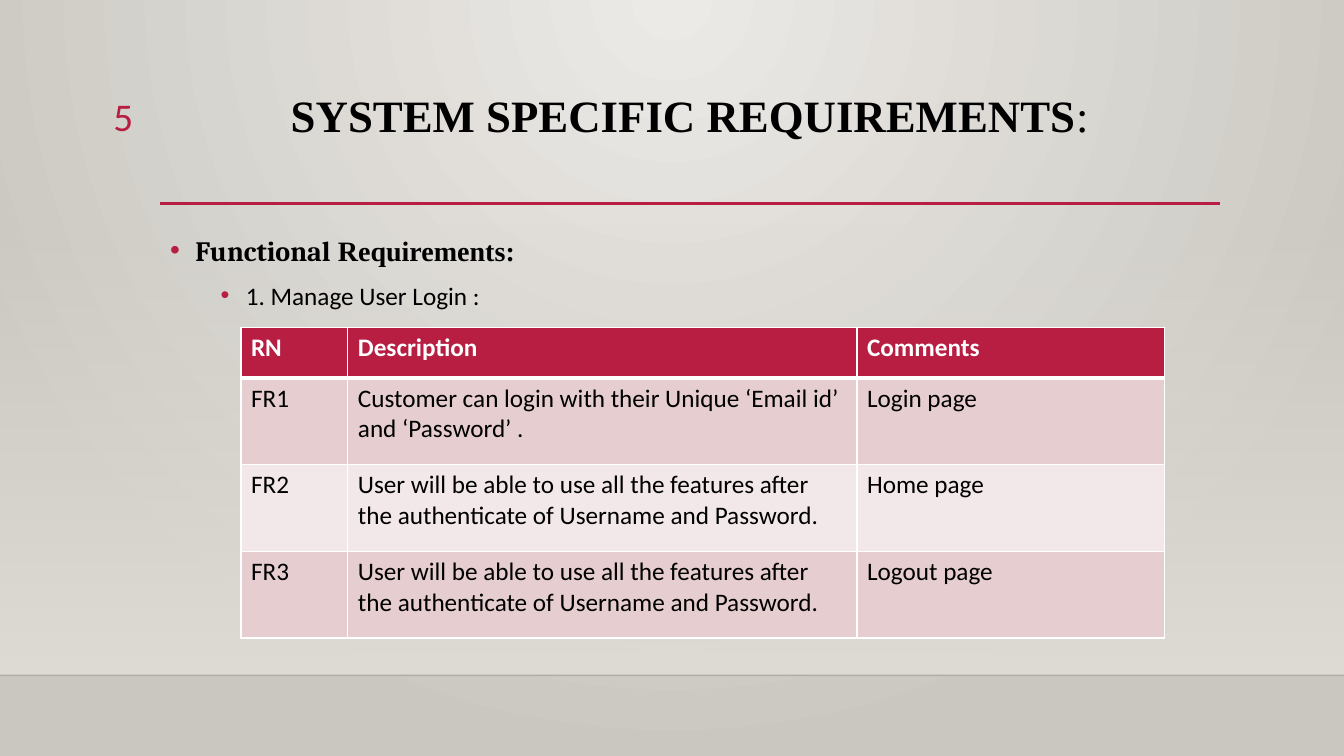
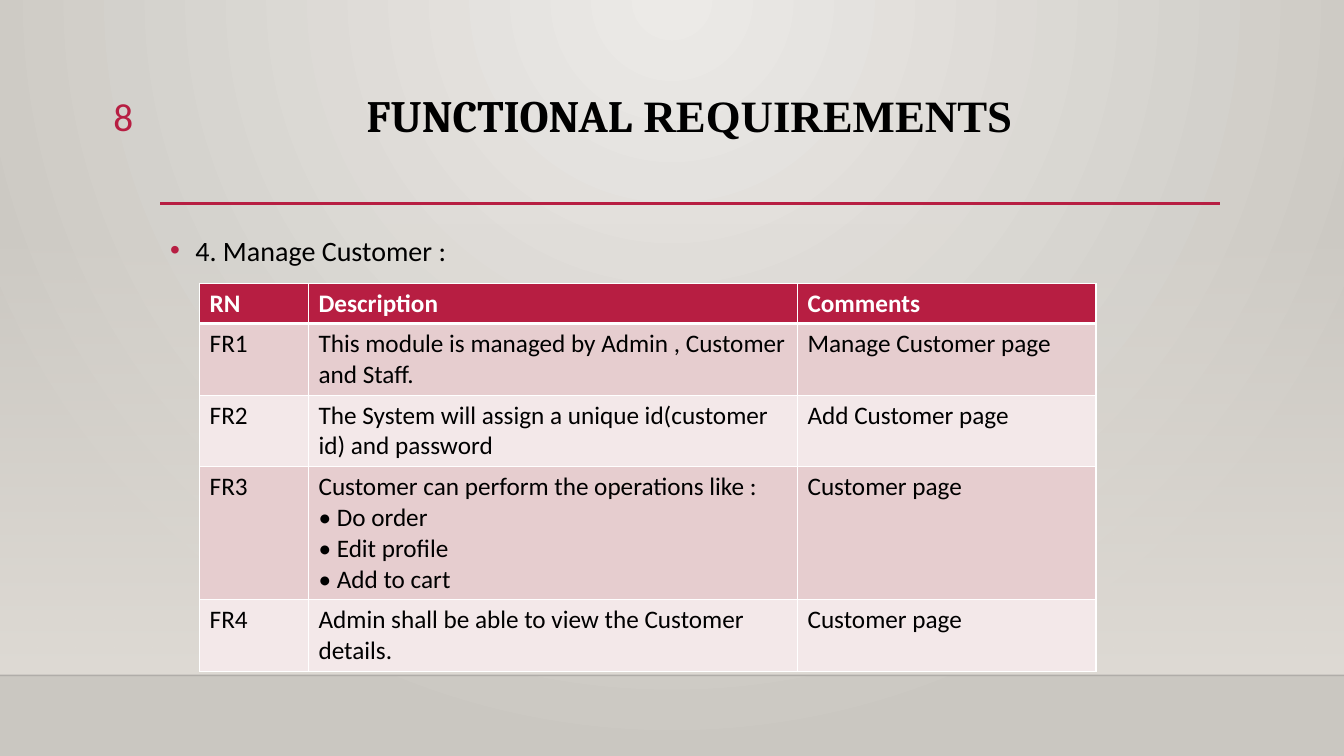
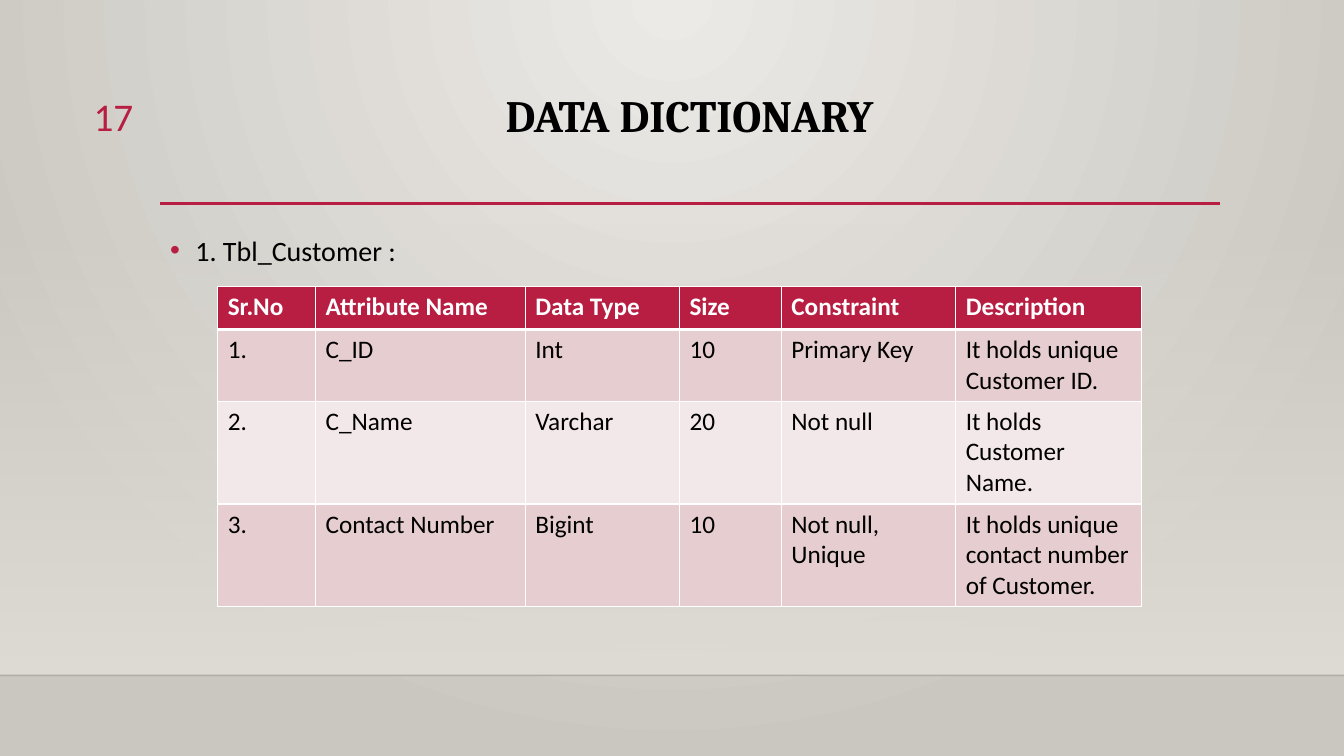
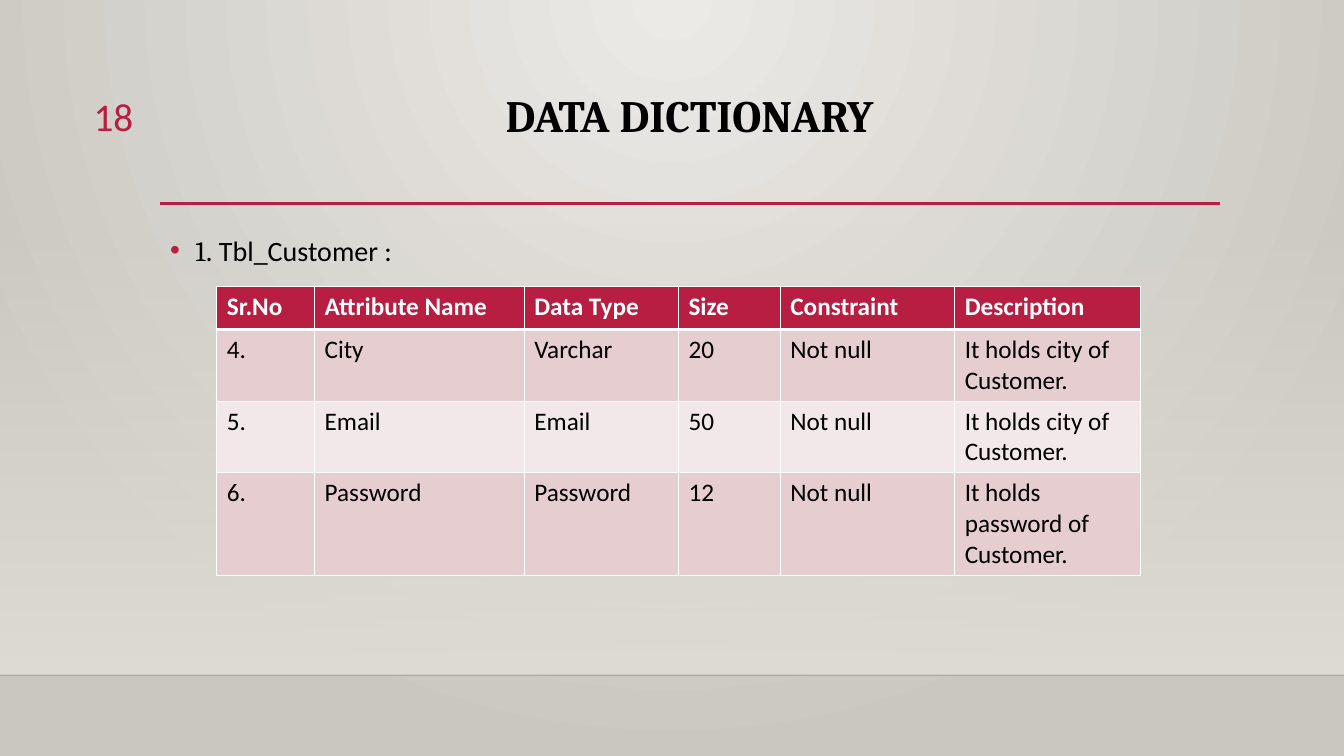
"""Build four slides of requirement and data dictionary tables."""
from pptx import Presentation
from pptx.dml.color import RGBColor
from pptx.enum.shapes import MSO_CONNECTOR, MSO_SHAPE
from pptx.enum.text import PP_ALIGN
from pptx.oxml import parse_xml
from pptx.oxml.ns import nsdecls
from pptx.util import Inches, Pt

C = {"accent": "B71E42", "text": "000000", "white": "FFFFFF", "odd": "E6CDCF", "even": "F3E8E9",
     "bg_in": "ECEAE7", "bg_out": "CAC7C1", "band": "DFDBD5", "floor": "000001"}
SERIF, TIMES, SANS = "Cambria", "Times New Roman", "Calibri"
REQ_HEAD = ["RN", "Description", "Comments"]
DATA_HEAD = ["Sr.No", "Attribute Name", "Data Type", "Size", "Constraint", "Description"]
DATA_COLS = [0.97, 2.08, 1.53, 1.01, 1.73, 1.84]
FEATURES = "User will be able to use all the features after the authenticate of Username and Password."

SLIDES = [
    {"number": "5",
     "title": [("SYSTEM SPECIFIC REQUIREMENTS", TIMES, True), (":", TIMES, False)],
     "body": [[("Functional", SERIF, True), (" Requirements:", TIMES, True)],
              [("1. Manage User Login :", SANS, False)]],
     "at": (2.39, 3.25), "cols": [1.06, 5.05, 3.05], "heights": [0.5, 0.86, 0.86, 0.86],
     "rows": [REQ_HEAD,
              ["FR1", "Customer can login with their Unique ‘Email id’ and ‘Password’ .", "Login page"],
              ["FR2", FEATURES, "Home page"],
              ["FR3", FEATURES, "Logout page"]]},
    {"number": "8",
     "title": [("FUNCTIONAL", SERIF, True), (" REQUIREMENTS", TIMES, True)],
     "body": [[("4. Manage Customer :", SANS, False)]],
     "at": (1.98, 2.81), "cols": [1.08, 4.85, 2.96], "heights": [0.4, 0.71, 0.71, 1.32, 0.71],
     "rows": [REQ_HEAD,
              ["FR1", "This module is managed by Admin , Customer and Staff.", "Manage Customer page"],
              ["FR2", "The System will assign a unique id(customer id) and password", "Add Customer page"],
              ["FR3", "Customer can perform the operations like :\n• Do order\n• Edit profile\n• Add to cart",
               "Customer page"],
              ["FR4", "Admin shall be able to view the Customer details.", "Customer page"]]},
    {"number": "17",
     "title": [("DATA DICTIONARY", SERIF, True)],
     "body": [[("1. Tbl_Customer :", SANS, False)]],
     "at": (2.16, 2.84), "cols": DATA_COLS, "heights": [0.43, 0.71, 1.02, 1.02],
     "rows": [DATA_HEAD,
              ["1.", "C_ID", "Int", "10", "Primary Key", "It holds unique Customer ID."],
              ["2.", "C_Name", "Varchar", "20", "Not null", "It holds Customer Name."],
              ["3.", "Contact Number", "Bigint", "10", "Not null,\nUnique",
               "It holds unique contact number of Customer."]]},
    {"number": "18",
     "title": [("DATA DICTIONARY", SERIF, True)],
     "body": [[("1", SERIF, False), (". Tbl_Customer :", SANS, False)]],
     "at": (2.15, 2.84), "cols": DATA_COLS, "heights": [0.43, 0.71, 0.71, 1.02],
     "rows": [DATA_HEAD,
              ["4.", "City", "Varchar", "20", "Not null", "It holds city of Customer."],
              ["5.", "Email", "Email", "50", "Not null", "It holds city of Customer."],
              ["6.", "Password", "Password", "12", "Not null", "It holds password of Customer."]]},
]


def write(p, text, size=18, font=SANS, color="text", bold=False):
    r = p.add_run()
    r.text = text
    r.font.size = Pt(size)
    r.font.name = font
    r.font.bold = bold
    r.font.color.rgb = RGBColor.from_string(C[color])


def set_alpha(shape, percent):
    clr = shape._element.xpath(".//a:srgbClr")[0]
    clr.append(parse_xml(f'<a:alpha {nsdecls("a")} val="{percent * 1000}"/>'))


prs = Presentation()
prs.slide_width, prs.slide_height = Inches(13.33), Inches(7.5)

fill = prs.slide_master.background.fill
fill.gradient()
for stop, name in zip(fill.gradient_stops, ["bg_in", "bg_out"]):
    stop.color.rgb = RGBColor.from_string(C[name])
lin = prs.slide_master._element.xpath(".//p:bgPr//a:lin")[0]
lin.getparent().replace(lin, parse_xml(
    f'<a:path {nsdecls("a")} path="circle">'
    '<a:fillToRect l="43000" t="0" r="43000" b="100000"/></a:path>'))

for page in SLIDES:
    s = prs.slides.add_slide(prs.slide_layouts[6])

    band = s.shapes.add_shape(MSO_SHAPE.RECTANGLE, 0, Inches(2.21), prs.slide_width, Inches(4.49))
    band.shadow.inherit = False
    band.line.fill.background()
    band.fill.gradient()
    band.fill.gradient_angle = 270
    for stop in band.fill.gradient_stops:
        stop.color.rgb = RGBColor.from_string(C["band"])
    set_alpha(band, 0)

    for x1, x2, y, color, width, alpha in [(0, 13.33, 6.7, "floor", 1, 20),
                                           (1.59, 12.1, 2.02, "accent", 2.5, 100)]:
        rule = s.shapes.add_connector(MSO_CONNECTOR.STRAIGHT, Inches(x1), Inches(y), Inches(x2), Inches(y))
        rule.line.width = Pt(width)
        rule.line.color.rgb = RGBColor.from_string(C[color])
        rule._element.spPr.append(parse_xml(f'<a:effectLst {nsdecls("a")}/>'))
        set_alpha(rule, alpha)

    title, body, number = [
        s.shapes.add_textbox(*map(Inches, box)).text_frame
        for box in [(1.59, 0.88, 10.5, 1.15), (1.59, 2.2, 10.5, 3.77), (0.53, 0.87, 0.89, 0.55)]]
    for tf in (title, body, number):
        tf.word_wrap = True

    p = title.paragraphs[0]
    p.alignment, p.line_spacing = PP_ALIGN.CENTER, 0.9
    for text, font, bold in page["title"]:
        write(p, text, size=32, font=font, bold=bold)

    for level, runs in enumerate(page["body"]):
        p = body.add_paragraph() if level else body.paragraphs[0]
        p.level, p.line_spacing, p.space_before = level, 1.2, Pt(5 if level else 10)
        pPr = p._p.get_or_add_pPr()
        pPr.set("marL", str(Inches(0.25 + 0.5 * level)))
        pPr.set("indent", str(Inches(-0.25)))
        pPr.append(parse_xml(f'<a:buClr {nsdecls("a")}><a:srgbClr val="{C["accent"]}"/></a:buClr>'))
        pPr.append(parse_xml(f'<a:buFont {nsdecls("a")} typeface="Arial"/>'))
        pPr.append(parse_xml(f'<a:buChar {nsdecls("a")} char="•"/>'))
        for text, font, bold in runs:
            write(p, text, size=18 if level else 20, font=font, bold=bold)

    p = number.paragraphs[0]
    p.alignment = PP_ALIGN.RIGHT
    write(p, page["number"], size=28, color="accent")

    rows, cols, heights = page["rows"], page["cols"], page["heights"]
    size = sum(cols), sum(heights)
    table = s.shapes.add_table(len(rows), len(cols), *map(Inches, page["at"] + size)).table
    for col, width in zip(table.columns, cols):
        col.width = Inches(width)
    for i, (row, height) in enumerate(zip(table.rows, heights)):
        row.height = Inches(height)
        for cell, value in zip(row.cells, rows[i]):
            cell.fill.solid()
            shade = "accent" if i == 0 else "odd" if i % 2 else "even"
            cell.fill.fore_color.rgb = RGBColor.from_string(C[shade])
            for k, side in enumerate("LRTB"):
                width = Pt(3 if (i, side) in [(0, "B"), (1, "T")] else 1)
                cell._tc.tcPr.insert(k, parse_xml(
                    f'<a:ln{side} {nsdecls("a")} w="{width}"><a:solidFill>'
                    f'<a:srgbClr val="{C["white"]}"/></a:solidFill></a:ln{side}>'))
            tf = cell.text_frame
            for k, line in enumerate(value.split("\n")):
                p = tf.add_paragraph() if k else tf.paragraphs[0]
                write(p, line, color="text" if i else "white", bold=i == 0)

prs.save("out.pptx")
